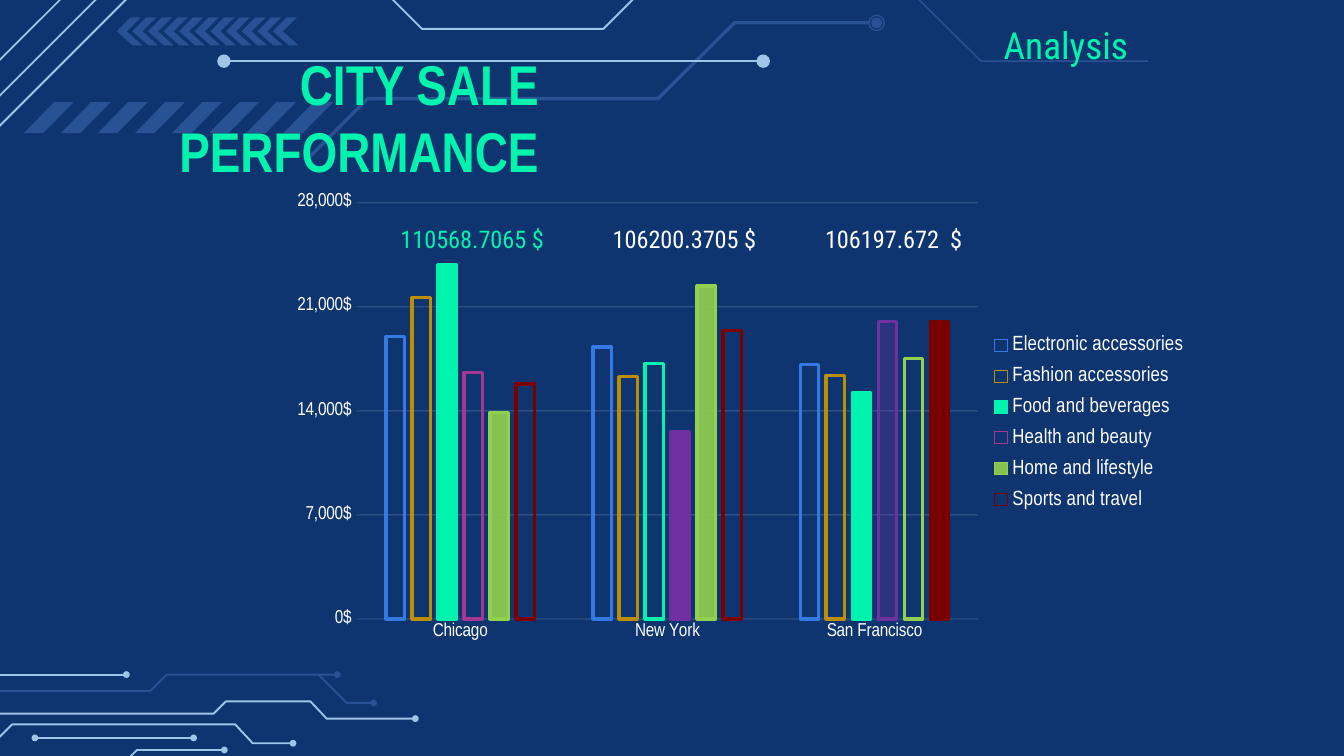
from collections import namedtuple

from lxml.etree import SubElement
from pptx import Presentation
from pptx.chart.data import CategoryChartData
from pptx.dml.color import RGBColor
from pptx.enum.chart import XL_CHART_TYPE, XL_LEGEND_POSITION, XL_TICK_MARK
from pptx.enum.shapes import MSO_CONNECTOR, MSO_SHAPE
from pptx.enum.text import MSO_ANCHOR, MSO_AUTO_SIZE, PP_ALIGN
from pptx.oxml import parse_xml
from pptx.oxml.ns import nsdecls, qn
from pptx.util import Pt

NAVY = RGBColor(0x0F, 0x35, 0x70)
STEEL = RGBColor(0x28, 0x52, 0x93)
SKY = RGBColor(0x9F, 0xC5, 0xE8)
MINT = RGBColor(0x00, 0xF4, 0xAD)
WHITE = RGBColor(0xFF, 0xFF, 0xFF)
BLUE = RGBColor(0x34, 0x79, 0xE4)
GOLD = RGBColor(0xBC, 0x8F, 0x00)
MAGENTA = RGBColor(0xA4, 0x36, 0x94)
PURPLE = RGBColor(0x70, 0x30, 0xA0)
LIME = RGBColor(0x92, 0xD0, 0x50)
MAROON = RGBColor(0x7A, 0x00, 0x00)
NARROW = "Arial Narrow"
CONDENSED = "Roboto Condensed"

Box = namedtuple("Box", "left top width height")

CITIES = ["Chicago", "New York", "San Francisco"]
SERIES = [
    ("Electronic accessories", (19000, 18300, 17100), BLUE, {}),
    ("Fashion accessories", (21600, 16300, 16400), GOLD, {}),
    ("Food and beverages", (23800, 17200, 15200), MINT, {0: (MINT, 100), 2: (MINT, 100)}),
    ("Health and beauty", (16600, 12600, 20000), MAGENTA, {1: (PURPLE, 100), 2: (PURPLE, 30)}),
    ("Home and lifestyle", (13900, 22400, 17500), LIME, {0: (LIME, 91), 1: (LIME, 91)}),
    ("Sports and travel", (15800, 19400, 20000), MAROON, {2: (MAROON, 100)}),
]
SOLID_KEYS = {"Food and beverages": (MINT, 100), "Home and lifestyle": (LIME, 91)}


def place(shape, box):
    shape.left, shape.top, shape.width, shape.height = (Pt(length) for length in box)


def trace(page, box, points, color, width):
    corners = [(Pt(box.left + x), Pt(box.top + y)) for x, y in points]
    if len(corners) == 2:
        line = page.shapes.add_connector(MSO_CONNECTOR.STRAIGHT, *corners[0], *corners[1])
        SubElement(line._element.spPr, qn("a:effectLst"))
    else:
        builder = page.shapes.build_freeform(*corners[0])
        builder.add_line_segments(corners[1:], close=False)
        line = builder.convert_to_shape()
        line.fill.background()
        line.shadow.inherit = False
    line.line.color.rgb = color
    line.line.width = Pt(width)


def patch(page, left, top, points):
    corners = [(Pt(left + x), Pt(top + y)) for x, y in points]
    builder = page.shapes.build_freeform(*corners[0])
    builder.add_line_segments(corners[1:], close=True)
    shape = builder.convert_to_shape()
    shape.fill.solid()
    shape.fill.fore_color.rgb = STEEL
    shape.line.fill.background()
    shape.shadow.inherit = False


def dot(page, box, center, diameter, color, hollow=False):
    x, y = box.left + center[0], box.top + center[1]
    shape = page.shapes.add_shape(MSO_SHAPE.OVAL, Pt(x - diameter / 2), Pt(y - diameter / 2),
                                  Pt(diameter), Pt(diameter))
    shape.shadow.inherit = False
    if hollow:
        shape.fill.background()
        shape.line.color.rgb = color
        shape.line.width = Pt(0.75)
    else:
        shape.fill.solid()
        shape.fill.fore_color.rgb = color
        shape.line.fill.background()


def draw_header(page, box):
    traces = [
        (SKY, 1, [(-13.7, 81), (91.4, -24.1), (186.5, -24.1), (226.1, 15.5),
                  (323.3, 15.5), (380.5, -41.8), (434.9, -41.8)]),
        (STEEL, 1.8, [(165.8, 84.2), (196.9, 52.9), (352.5, 52.9), (393.5, 12.2), (465.5, 12.2)]),
        (STEEL, 0.8, [(421.2, -4), (488.5, -4), (525.6, 32.8), (614.9, 32.8)]),
        (SKY, 0.9, [(120, 32.8), (406.4, 32.8)]),
        (SKY, 0.9, [(-31.3, 82.4), (75.4, -24.3)]),
        (SKY, 0.9, [(-44.2, 76), (62.3, -30.2)]),
    ]
    for color, width, points in traces:
        trace(page, box, points, color, width)
    dot(page, box, (469.6, 12.3), 8.2, STEEL, hollow=True)
    dot(page, box, (469.6, 12.3), 5.8, STEEL)
    for x in (120, 408.9):
        dot(page, box, (x, 32.8), 7.2, SKY)
    for index in range(8):
        patch(page, box.left + 12.8 + 19.87 * index, box.top + 54.8,
              [(10.4, 16.5), (26.6, 0), (16.1, 0), (0, 16.5)])
    for index in range(11):
        patch(page, box.left + 62.6 + 8.36 * index, box.top + 9.3,
              [(13.7, 15), (5.3, 7.5), (12.9, 0), (7.4, 0), (0, 7.5), (8.5, 15)])


def draw_circuit(page, box):
    traces = [
        (SKY, [(-49.7, 22.3), (114.5, 22.3), (121, 15.8), (166.3, 15.8), (175, 25), (222.5, 25)]),
        (STEEL, [(-3.6, 10.1), (80.6, 10.1), (89.3, 1.4), (180.7, 1.4)]),
        (STEEL, [(170.6, 1.4), (185.8, 16.6), (200.2, 16.6)]),
        (SKY, [(-8.6, 1.4), (67.7, 1.4)]),
        (SKY, [(-7.2, 41.8), (6.5, 28.1), (126, 28.1), (135.4, 38.2), (157, 38.2)]),
        (SKY, [(18.7, 35.3), (103.7, 35.3)]),
        (SKY, [(-7.2, 77), (19.4, 50.4), (64.8, 50.4), (73.4, 41.8), (120.2, 41.8)]),
    ]
    for color, points in traces:
        trace(page, box, points, color, 1.03)
        dot(page, box, points[-1], 3.6, color)
    dot(page, box, (18.7, 35.3), 3.6, SKY)


def write_title(page, box):
    title = page.shapes.title
    place(title, box)
    page.shapes._spTree.append(title._element)
    frame = title.text_frame
    frame.text = "CITY SALE PERFORMANCE"
    frame.margin_left = frame.margin_right = frame.margin_top = frame.margin_bottom = Pt(0)
    frame.word_wrap = True
    frame.auto_size = MSO_AUTO_SIZE.NONE
    frame.vertical_anchor = MSO_ANCHOR.BOTTOM
    para = frame.paragraphs[0]
    para.alignment = PP_ALIGN.RIGHT
    set_font(para.font, NARROW, 30, MINT)
    para.font.bold = True


def set_font(font, name, size, color):
    font.name = name
    font.size = Pt(size)
    font.color.rgb = color


def write_label(page, box, text, size, color):
    label = page.shapes.add_textbox(*(Pt(length) for length in box))
    label.text_frame.word_wrap = False
    para = label.text_frame.paragraphs[0]
    para.text = text
    set_font(para.font, CONDENSED, size, color)


def fade(fill, percent):
    color = fill._xPr.find(qn("a:solidFill")).find(qn("a:srgbClr"))
    SubElement(color, qn("a:alpha"), val=str(percent * 1000))


def paint_bar(bar, outline, inside=None):
    bar.format.line.color.rgb = outline
    bar.format.line.width = Pt(1.75)
    if inside is None:
        bar.format.fill.background()
        return
    bar.format.fill.solid()
    bar.format.fill.fore_color.rgb = inside[0]
    if inside[1] < 100:
        fade(bar.format.fill, inside[1])


def set_layout(element, inner, x, y, width, height):
    target = '<c:layoutTarget val="inner"/>' if inner else ""
    return parse_xml(
        f'<c:layout {nsdecls("c")}><c:manualLayout>{target}<c:xMode val="edge"/>'
        f'<c:yMode val="edge"/><c:x val="{x}"/><c:y val="{y}"/><c:w val="{width}"/>'
        f'<c:h val="{height}"/></c:manualLayout></c:layout>')


def draw_chart(page, box):
    data = CategoryChartData()
    data.categories = CITIES
    for name, values, _, _ in SERIES:
        data.add_series(name, values)
    chart = page.shapes.add_chart(XL_CHART_TYPE.COLUMN_CLUSTERED,
                                  *(Pt(length) for length in box), data).chart
    chart.has_title = False
    set_font(chart.font, "Arial", 10, WHITE)
    chart._chartSpace.find(qn("c:chart")).addnext(parse_xml(
        f'<c:spPr {nsdecls("c", "a")}><a:solidFill><a:srgbClr val="{NAVY}"/></a:solidFill>'
        '<a:ln><a:noFill/></a:ln></c:spPr>'))

    plot = chart.plots[0]
    plot.gap_width, plot.overlap = 315, -40
    plot.vary_by_categories = False
    for series, (name, values, outline, fills) in zip(plot.series, SERIES):
        series.invert_if_negative = False
        paint_bar(series, outline, SOLID_KEYS.get(name))
        for index in range(len(values)):
            inside = fills.get(index)
            paint_bar(series.points[index], inside[0] if inside else outline, inside)

    for axis in (chart.category_axis, chart.value_axis):
        axis.major_tick_mark = axis.minor_tick_mark = XL_TICK_MARK.NONE
        axis.format.line.fill.background()
        set_font(axis.tick_labels.font, NARROW, 10, WHITE)
    values_axis = chart.value_axis
    values_axis.minimum_scale, values_axis.maximum_scale = 0, 28000
    values_axis.major_unit = 7000
    values_axis.tick_labels.number_format = '#,##0"$";\\-#,##0"$"'
    values_axis.tick_labels.number_format_is_linked = False
    grid = values_axis.major_gridlines.format.line
    grid.color.rgb = WHITE
    grid.width = Pt(0.75)
    fade(grid.fill, 12)

    chart.has_legend = True
    legend = chart.legend
    legend.position = XL_LEGEND_POSITION.RIGHT
    legend.include_in_layout = False
    set_font(legend.font, NARROW, 11, WHITE)
    regions = [(chart._chartSpace.chart.plotArea, True, (0.08, 0.04, 0.68, 0.89)),
               (legend._element, False, (0.78, 0.3, 0.21, 0.42))]
    for element, inner, area in regions:
        layout = set_layout(element, inner, *area)
        old = element.find(qn("c:layout"))
        if old is not None:
            element.replace(old, layout)
        elif inner:
            element.insert(0, layout)
        else:
            element.find(qn("c:legendPos")).addnext(layout)


def draw_totals(page, box):
    totals = [("110568.7065 $", MINT), ("106200.3705 $", WHITE), ("106197.672  $", WHITE)]
    for index, (text, color) in enumerate(totals):
        left = box.left + index * (box.width - 92.2) / 2
        write_label(page, Box(left, box.top, 92.2, box.height), text, 13, color)


deck = Presentation()
deck.slide_width, deck.slide_height = Pt(720), Pt(405)
page = deck.slides.add_slide(deck.slide_layouts[5])
page.background.fill.solid()
page.background.fill.fore_color.rgb = NAVY
draw_header(page, Box(0, 0, 720, 90))
draw_circuit(page, Box(0, 360, 225, 45))
write_title(page, Box(39.6, 58.3, 249.1, 40.3))
draw_chart(page, Box(151.9, 98.6, 489.6, 250.6))
write_label(page, Box(530.6, 8.6, 101.5, 31.7), "Analysis", 20, MINT)
draw_totals(page, Box(207.4, 116.4, 319.7, 23))
deck.save("out.pptx")
